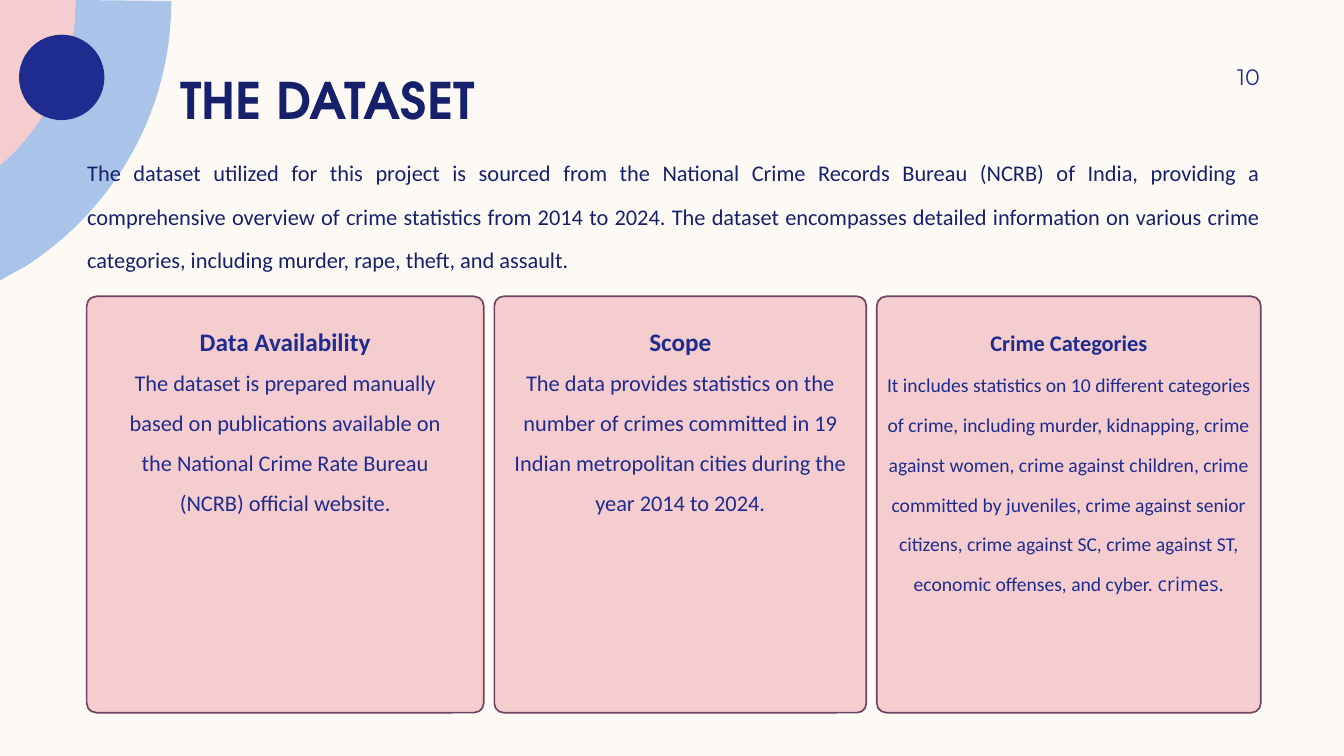
"""Build the dataset slide: a corner motif, an intro and three cards."""
from pptx import Presentation
from pptx.dml.color import RGBColor
from pptx.enum.shapes import MSO_SHAPE
from pptx.enum.text import MSO_ANCHOR, PP_ALIGN
from pptx.util import Pt

NAVY, BLUE, SKY, PINK, PLUM, CREAM = (
    "17216B", "1F2C8F", "AAC3E8", "F5CDCE", "6D4562", "FDFAF6")
TITLE = "THE DATASET"
PAGE = "10"
INTRO = (
    "The dataset utilized for this project is sourced from the National Crime "
    "Records Bureau (NCRB) of India, providing a comprehensive overview of crime "
    "statistics from 2014 to 2024. The dataset encompasses detailed information on "
    "various crime categories, including murder, rape, theft, and assault.")
CARDS = [
    dict(width=283.7, inset=19.4, high=165.6, head="Data Availability", size=18,
         body=[("The dataset is prepared manually based on publications available "
                "on the National Crime Rate Bureau (NCRB) official website.",
                "Calibri")]),
    dict(width=265.7, inset=6.5, high=177.8, head="Scope", size=18,
         body=[("The data provides statistics on the number of crimes committed in "
                "19 Indian metropolitan cities during the year 2014 to 2024.",
                "Calibri")]),
    dict(width=274.3, inset=3.8, high=185.8, head="Crime Categories", size=16,
         body=[("It includes statistics on 10 different categories of crime, "
                "including murder, kidnapping, crime against women, crime against "
                "children, crime committed by juveniles, crime against senior "
                "citizens, crime against SC, crime against ST, economic offenses, "
                "and cyber. ", "Calibri"),
               ("crimes.", "Open Sans")]),
]
LEFT, TOP, TALL, GAP = 61.9, 211.7, 297.4, 7.5
INNER = [(53.3, 15.8), (49, 52.6), (33.1, 85.7), (7.9, 110.9)]
OUTER = [(122.4, 0.7), (122.4, 80.6), (80.6, 150.5), (17.3, 190.8)]
STEPS = 40

deck = Presentation()
deck.slide_width, deck.slide_height = Pt(960), Pt(540)
slide = deck.slides.add_slide(deck.slide_layouts[6])
shapes = slide.shapes


def paint(fill, color):
    fill.solid()
    fill.fore_color.rgb = RGBColor.from_string(color)


def style(shape, color, edge=None):
    shape.shadow.inherit = False
    paint(shape.fill, color)
    if edge:
        paint(shape.line.fill, edge)
        shape.line.width = Pt(1.2)
    else:
        shape.line.fill.background()


def curve(knots):
    dots = []
    for step in range(STEPS + 1):
        t = step / STEPS
        parts = ((1 - t) ** 3, 3 * t * (1 - t) ** 2, 3 * t * t * (1 - t), t ** 3)
        dots.append(tuple(sum(p * knot[axis] for p, knot in zip(parts, knots))
                          for axis in (0, 1)))
    return dots


def outline(dots, color):
    first, *rest = [(Pt(x), Pt(y)) for x, y in dots]
    pen = shapes.build_freeform(*first)
    pen.add_line_segments(rest, close=True)
    style(pen.convert_to_shape(), color)


def frame(box, anchor=MSO_ANCHOR.TOP, pads=(0, 0, 0, 0)):
    text = shapes.add_textbox(*map(Pt, box)).text_frame
    text.word_wrap = True
    text.vertical_anchor = anchor
    (text.margin_left, text.margin_top,
     text.margin_right, text.margin_bottom) = map(Pt, pads)
    return text


def write(para, text, size=16, font="Calibri", color=BLUE, bold=False,
          align=PP_ALIGN.CENTER, pitch=None):
    para.alignment = align
    if pitch:
        para.line_spacing = Pt(pitch)
    run = para.add_run()
    run.text = text
    run.font.size, run.font.name, run.font.bold = Pt(size), font, bold
    run.font.color.rgb = RGBColor.from_string(color)


paint(slide.background.fill, CREAM)
inner = curve(INNER)
outline([(54, 0), *curve(OUTER), (0, 200.2), (0, 118.1), *inner[::-1]], SKY)
outline([(0, 0), (54, 0), *inner, (0, 118.1)], PINK)
style(shapes.add_shape(MSO_SHAPE.OVAL, *map(Pt, (13.6, 24.8, 61, 61))), BLUE)

title = frame((121.7, 15.8, 777.6, 77), MSO_ANCHOR.BOTTOM, (7.2, 0, 7.2, 0))
write(title.paragraphs[0], TITLE, size=36, font="TeX Gyre Adventor", color=NAVY,
      bold=True, align=PP_ALIGN.LEFT, pitch=54)
page = frame((815.8, 36, 84.2, 37.4), MSO_ANCHOR.MIDDLE, (7.2, 3.6, 0, 3.6))
write(page.paragraphs[0], PAGE, font="Montserrat", align=PP_ALIGN.RIGHT)
intro = frame((62.3, 102.2, 838, 54.7))
write(intro.paragraphs[0], INTRO, color=NAVY, align=PP_ALIGN.JUSTIFY, pitch=31)

left = LEFT
for card in CARDS:
    wide, inset = card["width"], card["inset"]
    panel = shapes.add_shape(MSO_SHAPE.ROUNDED_RECTANGLE,
                             *map(Pt, (left, TOP, wide, TALL)))
    panel.adjustments[0] = 0.025
    style(panel, PINK, PLUM)
    text = frame((left + inset, TOP + 14.4, wide - 2 * inset, card["high"]))
    write(text.paragraphs[0], card["head"], size=card["size"], bold=True, pitch=28.5)
    para = text.add_paragraph()
    for words, font in card["body"]:
        write(para, words, size=card["size"] - 2, font=font, pitch=28.5)
    left += wide + GAP

deck.save("out.pptx")
